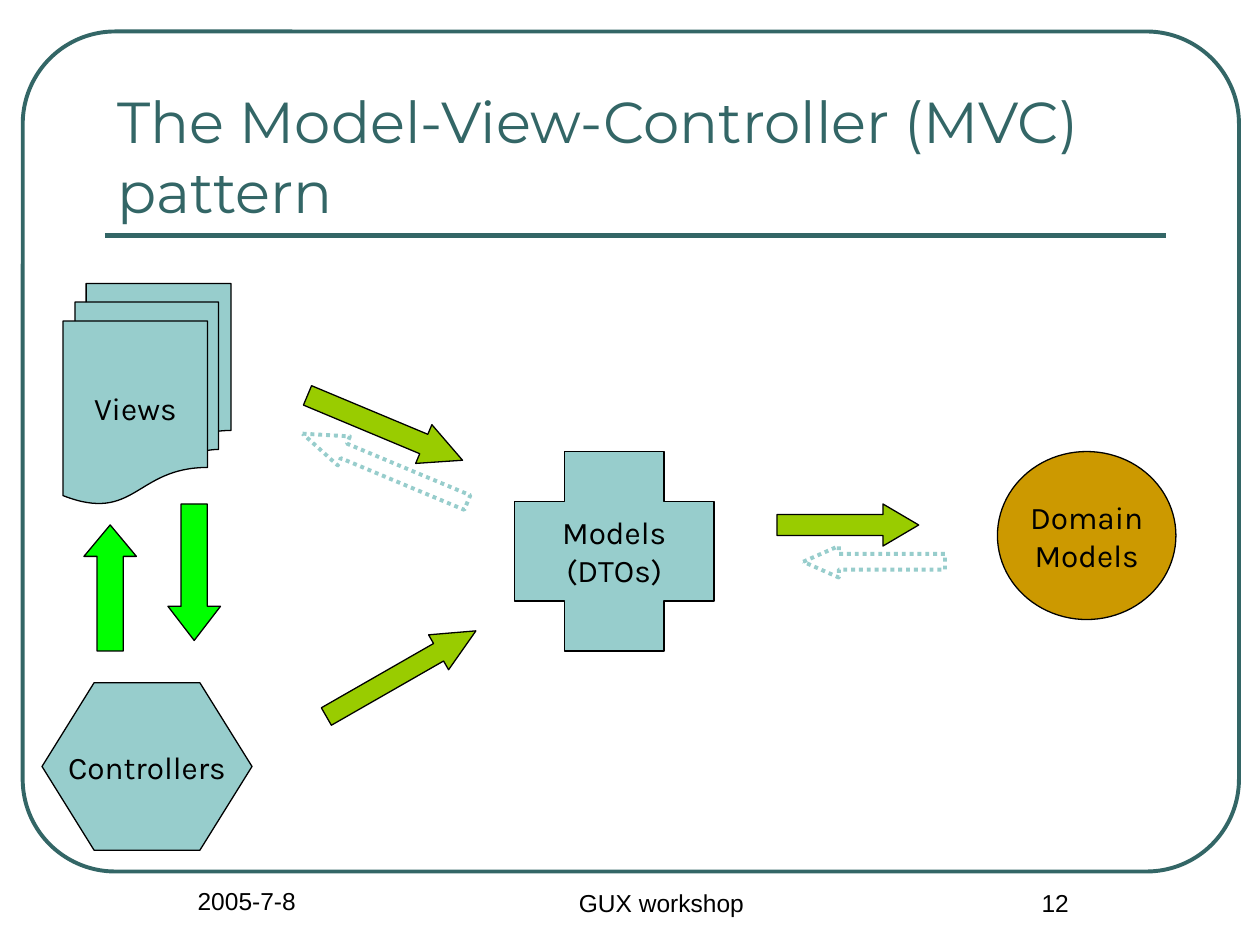
import pptx
import pptx.dml.color
import pptx.enum.dml
import pptx.enum.shapes
import pptx.enum.text
import pptx.oxml
import pptx.util

Pt = pptx.util.Pt
KIND = pptx.enum.shapes.MSO_SHAPE
ALIGN = pptx.enum.text.PP_ALIGN
ANCHOR = pptx.enum.text.MSO_ANCHOR

TEAL, PALE, OLIVE = "336666", "97CDCC", "99CC00"
GOLD, GREEN, BLACK = "CC9900", "00FF00", "000000"


def colour(value):
    return pptx.dml.color.RGBColor.from_string(value)


def write(box, text, font="Karla", size=18, ink=BLACK, align=ALIGN.CENTER,
          anchor=ANCHOR.MIDDLE, wrap=False):
    """Fill a shape with text, one paragraph per line."""
    frame = box.text_frame
    frame.text = text
    frame.auto_size = pptx.enum.text.MSO_AUTO_SIZE.NONE
    frame.word_wrap = wrap
    frame.vertical_anchor = anchor
    for para in frame.paragraphs:
        para.alignment = align
        for span in para.runs:
            span.font.name = font
            span.font.size = Pt(size)
            span.font.color.rgb = colour(ink)


deck = pptx.Presentation()
deck.slide_width, deck.slide_height = Pt(720), Pt(540)
page = deck.slides.add_slide(deck.slide_layouts[5])

title = page.shapes.title
title.left, title.top, title.width, title.height = Pt(60), Pt(42), Pt(606), Pt(90)
write(title, "The Model-View-Controller (MVC) pattern", font="Montserrat", size=33,
      ink=TEAL, align=ALIGN.LEFT, anchor=ANCHOR.BOTTOM, wrap=True)

rule = page.shapes.add_connector(
    pptx.enum.shapes.MSO_CONNECTOR.STRAIGHT, Pt(60), Pt(134.6), Pt(666), Pt(134.6))
rule.line.color.rgb = colour(TEAL)
rule.line.width = Pt(3)
rule._element.spPr.append(pptx.oxml.parse_xml(
    '<a:effectLst xmlns:a="http://schemas.openxmlformats.org/drawingml/2006/main"/>'))

# kind, left, top, width, height, rotation, adjustments, fill, line, line width, text
shapes = [
    (KIND.ROUNDED_RECTANGLE, 13, 18, 695, 480, 0, [0.11], None, TEAL, 2.25, ""),
    (KIND.OVAL, 570, 258, 102, 96, 0, [], GOLD, BLACK, 0.75, "Domain\nModels"),
    (KIND.CROSS, 294, 258, 114, 114, 0, [0.25], PALE, BLACK, 0.75, "Models\n(DTOs)"),
    (KIND.FLOWCHART_MULTIDOCUMENT, 36, 162, 96, 126, 0, [], PALE, BLACK, 0.75, "Views"),
    (KIND.HEXAGON, 24, 390, 120, 96, 0, [0.31, 1.15], PALE, BLACK, 0.75, "Controllers"),
    # Controllers to models
    (KIND.RIGHT_ARROW, 180, 373.5, 98.5, 23, -29.8, [0.5, 1.07], OLIVE, BLACK, 0.75, ""),
    # Models to domain models and back
    (KIND.RIGHT_ARROW, 444, 288, 81, 24, 0, [0.5, 0.85], OLIVE, BLACK, 0.75, ""),
    (KIND.LEFT_ARROW, 459, 312, 81, 18, 0, [0.5, 1.13], None, PALE, 2.25, ""),
    # Views to models and back
    (KIND.RIGHT_ARROW, 172, 232.5, 96, 24, 22.7, [0.5, 1], OLIVE, BLACK, 0.75, ""),
    (KIND.LEFT_ARROW, 169, 258.5, 102, 18, 22.7, [0.5, 1.42], None, PALE, 2.25, ""),
    # Controllers to views and back
    (KIND.UP_ARROW, 48, 300, 30, 72, 0, [0.5, 0.6], GREEN, BLACK, 0.75, ""),
    (KIND.DOWN_ARROW, 96, 288, 30, 78, 0, [0.5, 0.65], GREEN, BLACK, 0.75, ""),
]
for kind, left, top, width, height, turn, adjust, fill, line, weight, text in shapes:
    shape = page.shapes.add_shape(kind, Pt(left), Pt(top), Pt(width), Pt(height))
    shape.shadow.inherit = False
    shape.rotation = turn
    for index, value in enumerate(adjust):
        shape.adjustments[index] = value
    if fill:
        shape.fill.solid()
        shape.fill.fore_color.rgb = colour(fill)
    else:
        shape.fill.background()
    shape.line.color.rgb = colour(line)
    shape.line.width = Pt(weight)
    if line == PALE:
        shape.line.dash_style = pptx.enum.dml.MSO_LINE.ROUND_DOT
    if text:
        write(shape, text)

for text, left, top, width in [("GUX workshop", 264, 504, 228), ("12", 540, 504, 126),
                               ("2005-7-8", 60, 503, 162)]:
    box = page.shapes.add_textbox(Pt(left), Pt(top), Pt(width), Pt(36))
    write(box, text, font="Arial", size=14, anchor=ANCHOR.TOP, wrap=True)

deck.save("out.pptx")
